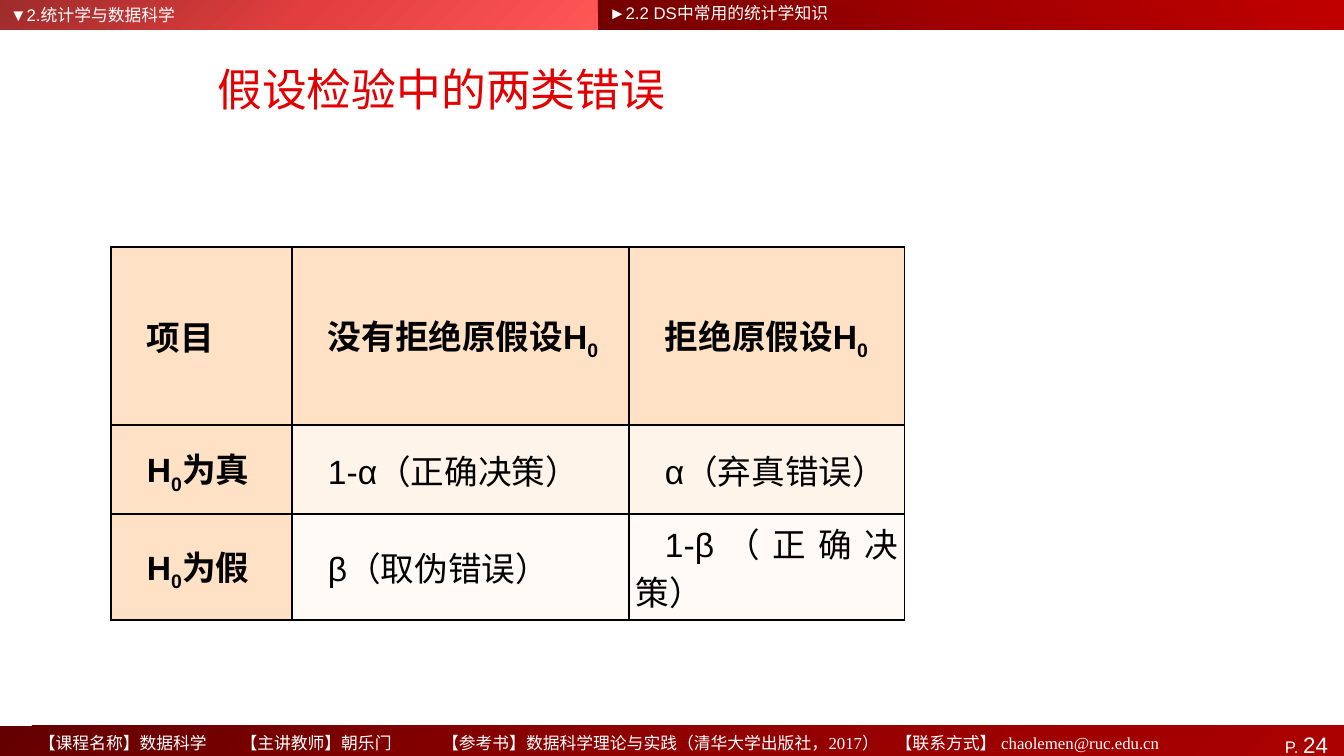
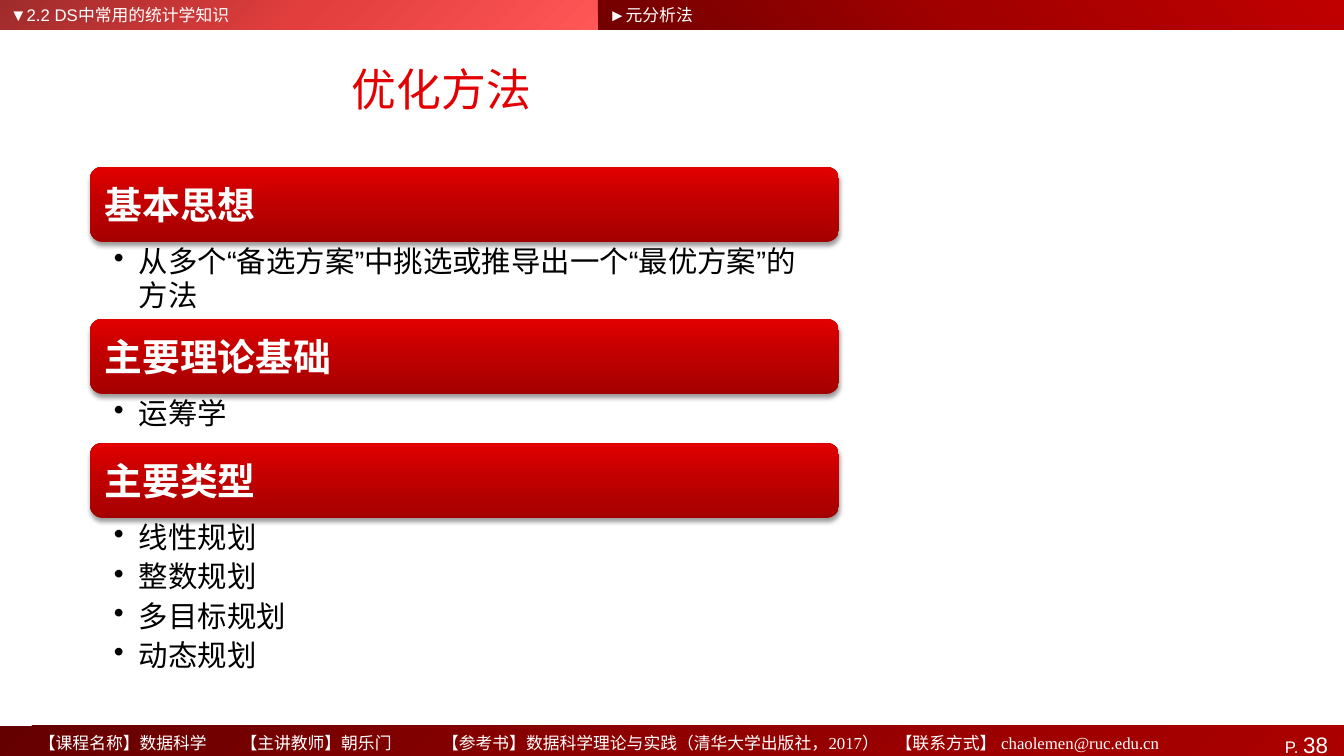
from lxml.etree import SubElement
from pptx import Presentation
from pptx.dml.color import RGBColor
from pptx.enum.shapes import MSO_SHAPE
from pptx.enum.text import MSO_ANCHOR, MSO_AUTO_SIZE, PP_ALIGN
from pptx.oxml import parse_xml
from pptx.oxml.ns import nsdecls, qn
from pptx.util import Emu, Pt

COLORS = {
    "white": "FFFFFF", "black": "000000", "title": "E40000",
    "head": "FFE2C5", "true": "FFF4EA", "false": "FFFAF5",
}
GRADES = {
    "left": ((0, "9F2B2B"), (50, "E23E3E"), (100, "FF5656")),
    "right": ((0, "720000"), (50, "A20000"), (100, "C00000")),
    "foot": ((0, "650000"), (50, "900000"), (100, "AB0000")),
    "pill": ((0, "A50000"), (55, "C20000"), (100, "E20000")),
}
CJK = "Noto Sans CJK SC"
FOOTER = (
    "【课程名称】数据科学",
    "【主讲教师】朝乐门",
    "【参考书】数据科学理论与实践（清华大学出版社，2017）",
    "【联系方式】 chaolemen@ruc.edu.cn",
)
TABS = (209, 413, 903)
ERRORS = (
    (("项目",), ("没有拒绝原假设H", "0"), ("拒绝原假设H", "0")),
    (("H", "0", "为真"), ("1-α（正确决策）",), ("α（弃真错误）",)),
    (("H", "0", "为假"), ("β（取伪错误）",), ("1-β（正确决策）",)),
)
TOPICS = (
    (167, 77, "基本思想", ("从多个“备选方案”中挑选或推导出一个“最优方案”的方法",)),
    (319, 49, "主要理论基础", ("运筹学",)),
    (443, 169, "主要类型", ("线性规划", "整数规划", "多目标规划", "动态规划")),
)
PILL = 75


def px(count):
    return Emu(round(count * 914400 / 100.8))


def place(shape, box):
    shape.left, shape.top, shape.width, shape.height = map(px, box)


def say(para, text, size=12, color="white", font="Arial", east="Arial",
        bold=False, sub=False):
    run = para.add_run()
    run.text = text
    run.font.size = Pt(size)
    run.font.bold = bold
    run.font.color.rgb = RGBColor.from_string(COLORS[color])
    run.font.name = font
    props = run._r.get_or_add_rPr()
    SubElement(props, qn("a:ea")).set("typeface", east)
    if sub:
        props.set("baseline", "-25000")


def indent(para, left, first):
    props = para._p.get_or_add_pPr()
    props.set("marL", str(px(left)))
    props.set("indent", str(px(first)))
    return props


def inset(frame, left, top, right, bottom):
    frame.margin_left, frame.margin_top = px(left), px(top)
    frame.margin_right, frame.margin_bottom = px(right), px(bottom)


def textbox(slide, box):
    shape = slide.shapes.add_textbox(*map(px, box))
    shape.text_frame.word_wrap = True
    return shape


def block(slide, box, grade, angle, kind=MSO_SHAPE.RECTANGLE):
    shape = slide.shapes.add_shape(kind, *map(px, box))
    shape.shadow.inherit = False
    shape.line.fill.background()
    shape.fill.gradient()
    stops = "".join(
        f'<a:gs pos="{pos * 1000}"><a:srgbClr val="{tint}"/></a:gs>'
        for pos, tint in GRADES[grade])
    props = shape.element.spPr
    props.replace(props.find(qn("a:gradFill")), parse_xml(
        f'<a:gradFill {nsdecls("a")} rotWithShape="1"><a:gsLst>{stops}</a:gsLst>'
        f'<a:lin ang="{angle * 60000}" scaled="0"/></a:gradFill>'))
    return shape


def shade(shape):
    shape.element.spPr.find(qn("a:effectLst")).append(parse_xml(
        f'<a:outerShdw {nsdecls("a")} blurRad="40000" dist="25000" '
        'dir="5400000" rotWithShape="0"><a:srgbClr val="000000">'
        '<a:alpha val="38000"/></a:srgbClr></a:outerShdw>'))


def frame_layout(layout, slide):
    note = textbox(slide, (29, 728, 1236, 41))
    para = note.text_frame.paragraphs[0]
    stops = SubElement(indent(para, 0, 0), qn("a:tabLst"))
    for pos in TABS:
        tab = SubElement(stops, qn("a:tab"))
        tab.set("pos", str(px(pos)))
        tab.set("algn", "l")
    say(para, "\t".join(FOOTER), font="Times New Roman")
    bands = (
        block(slide, (0, 0, 598, 30), "left", 45),
        block(slide, (0, 726, 1344, 37), "foot", 45),
        block(slide, (598, 0, 746, 30), "right", 315),
    )
    for shape in (*bands, note):
        layout.shapes.element.append(shape.element)


def crumb(holder, text, box):
    place(holder, box)
    frame = holder.text_frame
    frame.auto_size = MSO_AUTO_SIZE.NONE
    para = frame.paragraphs[0]
    SubElement(indent(para, 0, 0), qn("a:buNone"))
    para.space_before = Pt(0)
    say(para, text)


def head(slide, title, left, right, page, tall=29):
    place(slide.shapes.title, (44, 43, 795, 91))
    frame = slide.shapes.title.text_frame
    frame.vertical_anchor = MSO_ANCHOR.MIDDLE
    para = frame.paragraphs[0]
    para.alignment = PP_ALIGN.CENTER
    say(para, title, size=32, color="title", font=CJK, east=CJK)
    crumb(slide.placeholders[1], left, (0, 0, 487, 29))
    crumb(slide.placeholders[2], right, (599, 0, 375, tall))
    label = textbox(slide, (1200, 726, 144, 37)).text_frame
    inset(label, 10, 5, 16, 5)
    label.vertical_anchor = MSO_ANCHOR.MIDDLE
    para = label.paragraphs[0]
    para.alignment = PP_ALIGN.RIGHT
    say(para, "P. ")
    say(para, str(page), size=16)


def border(cell):
    props = cell._tc.get_or_add_tcPr()
    for side in ("lnL", "lnR", "lnT", "lnB"):
        props.append(parse_xml(
            f'<a:{side} {nsdecls("a")} w="12700"><a:solidFill>'
            f'<a:srgbClr val="{COLORS["black"]}"/></a:solidFill></a:{side}>'))


def fill_cell(cell, bits, tint):
    border(cell)
    cell.fill.solid()
    cell.fill.fore_color.rgb = RGBColor.from_string(COLORS[tint])
    cell.vertical_anchor = MSO_ANCHOR.MIDDLE
    inset(cell, 7, 0, 7, 0)
    para = cell.text_frame.paragraphs[0]
    para.alignment = PP_ALIGN.JUSTIFY
    indent(para, 0, 29)
    for spot, bit in enumerate(bits):
        say(para, bit, size=24, color="black", east=CJK,
            bold=tint == "head", sub=spot == 1)


def grid(slide, rows, wide, high, left, top):
    box = (left, top, sum(wide), sum(high))
    table = slide.shapes.add_table(len(high), len(wide), *map(px, box)).table
    for col, size in zip(table.columns, wide):
        col.width = px(size)
    for row, size in zip(table.rows, high):
        row.height = px(size)
    for y, row in enumerate(rows):
        for x, bits in enumerate(row):
            tint = "head" if x == 0 else ("head", "true", "false")[y]
            fill_cell(table.cell(y, x), bits, tint)


def topic(slide, top, high, name, items):
    pill = block(slide, (90, top, 749, PILL), "pill", 270,
                 MSO_SHAPE.ROUNDED_RECTANGLE)
    shade(pill)
    frame = pill.text_frame
    frame.vertical_anchor = MSO_ANCHOR.MIDDLE
    inset(frame, 11, 7, 11, 7)
    frame.paragraphs[0].alignment = PP_ALIGN.LEFT
    say(frame.paragraphs[0], name, size=27, bold=True)
    frame = textbox(slide, (90, top + PILL, 749, high)).text_frame
    inset(frame, 24, 4, 21, 4)
    for spot, item in enumerate(items):
        para = frame.add_paragraph() if spot else frame.paragraphs[0]
        SubElement(indent(para, 25, -25), qn("a:buChar")).set("char", "•")
        para.line_spacing = 0.95
        para.space_after = Pt(4)
        say(para, item, size=21, color="black")


def main():
    deck = Presentation()
    deck.slide_width, deck.slide_height = px(1344), px(756)
    layout = deck.slide_layouts.get_by_name("Two Content")

    slide = deck.slides.add_slide(layout)
    frame_layout(layout, slide)
    head(slide, "假设检验中的两类错误", "▼2.统计学与数据科学",
         "►2.2 DS中常用的统计学知识", 24, tall=5)
    grid(slide, ERRORS, (181, 337, 276), (178, 89, 106), 111, 247)

    slide = deck.slides.add_slide(layout)
    head(slide, "优化方法", "▼2.2 DS中常用的统计学知识", "►元分析法", 38)
    for part in TOPICS:
        topic(slide, *part)

    deck.save("out.pptx")


if __name__ == "__main__":
    main()
